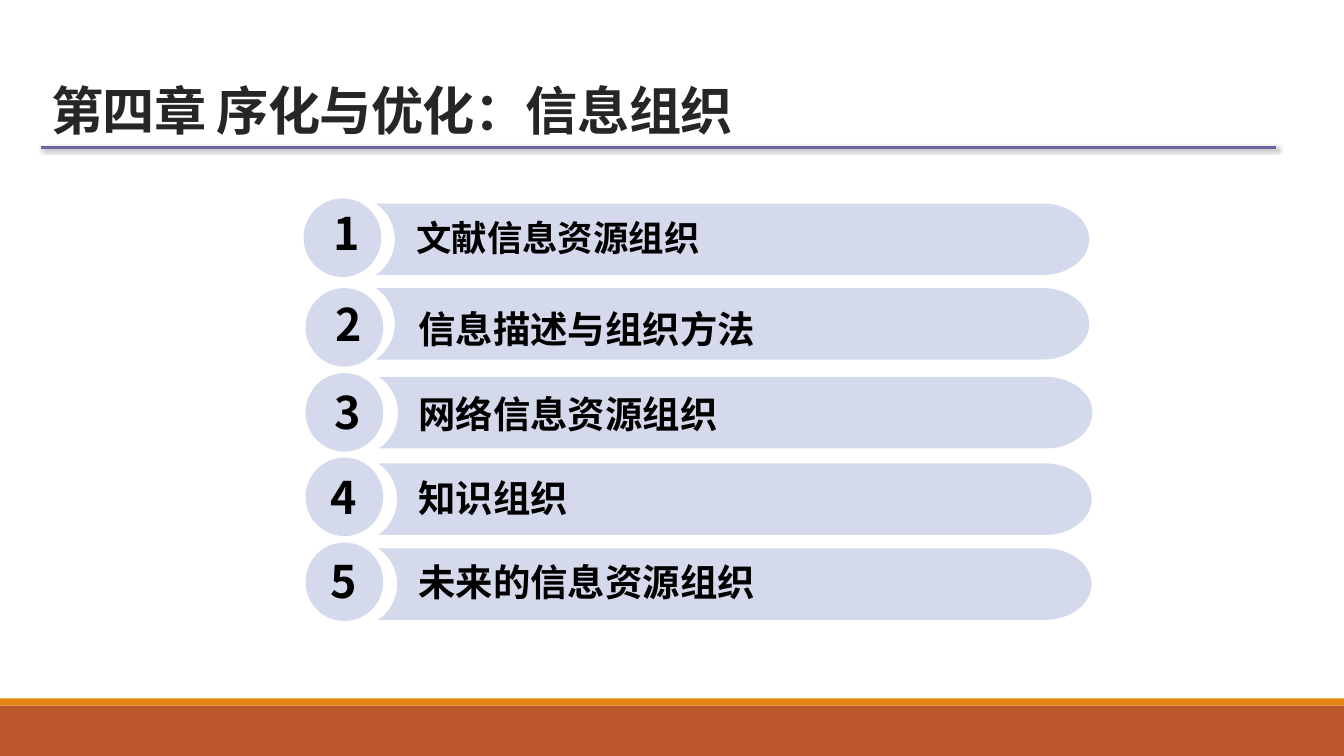
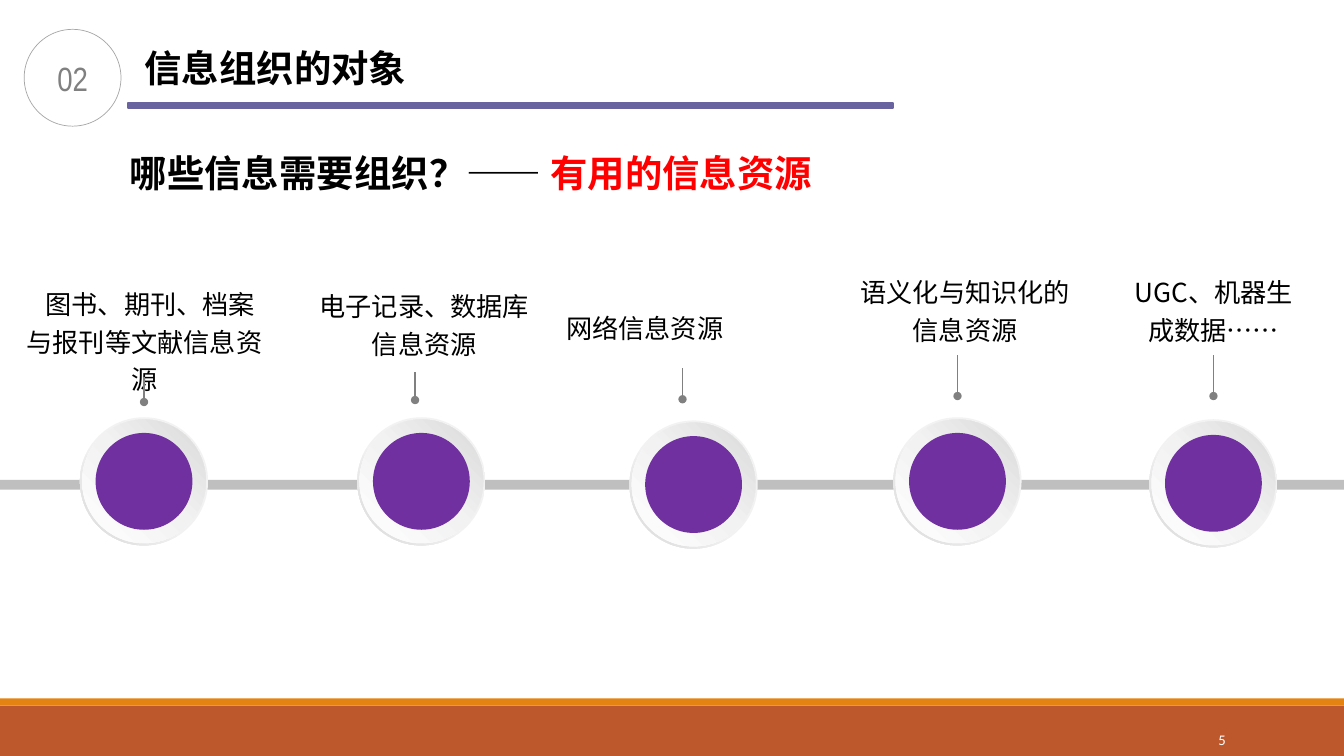
import copy
import math

import pptx
import pptx.dml.color
import pptx.enum.shapes
import pptx.enum.text
import pptx.oxml
import pptx.oxml.ns
import pptx.util
from pptx.util import Cm

SHAPE = pptx.enum.shapes.MSO_SHAPE
ALIGN = pptx.enum.text.PP_ALIGN
ANCHOR = pptx.enum.text.MSO_ANCHOR
qn = pptx.oxml.ns.qn


class Theme:
    cjk, plain, narrow = "Noto Sans CJK SC", "Calibri", "Arial Narrow"
    ink, black, white, red = "262626", "000000", "FFFFFF", "FF0000"
    violet, purple, lavender = "6964A0", "7030A0", "D4D9EC"
    rust, orange = "BD582C", "E48312"
    track, pin, badge = "BFBFBF", "808080", "A6A6A6"
    silver = ("F2F2F2", "F2F2F2", "D9D9D9")
    pearl = ("FFFFFF", "F2F2F2", "D9D9D9")
    title = dict(size=37.3, color=ink, bold=True, font=cjk)
    number = dict(size=32, color=black, bold=True, font=cjk)
    first_topic = dict(size=25.3, color=black, bold=True, font=cjk)
    topic = dict(size=26.7, color=black, bold=True, font=plain)
    heading = dict(size=26.7, color=black, bold=True, font=cjk)
    answer = dict(heading, color=red)
    label = dict(size=18.7, color=black, font=cjk)
    badge_text = dict(size=24, color=pin, font=narrow)
    page = dict(size=10.5, color=white, font=plain)


WIDTH, HEIGHT = 33.87, 19.05

CHAPTER = "第四章 序化与优化：信息组织"
# text, style, bar (x, y), disc (x, y), number (x, y), text (x, y)
TOPICS = [
    ("文献信息资源组织", Theme.first_topic, (9.47, 5.13), (7.65, 5.0), (8.15, 5.05), (10.24, 5.31)),
    ("信息描述与组织方法", Theme.topic, (9.47, 7.26), (7.7, 7.26), (8.2, 7.34), (10.29, 7.59)),
    ("网络信息资源组织", Theme.topic, (9.55, 9.5), (7.7, 9.4), (8.18, 9.58), (10.29, 9.73)),
    ("知识组织", Theme.topic, (9.53, 11.68), (7.7, 11.53), (8.08, 11.71), (10.29, 11.86)),
    ("未来的信息资源组织", Theme.topic, (9.53, 13.82), (7.7, 13.67), (8.08, 13.84), (10.29, 13.97)),
]
BAR_W, BAR_H, BAR_ROUND, BAR_NOTCH = 17.98, 1.8, 1.17, 0.48

SECTION_NO, SECTION, PAGE_NO = "02", "信息组织的对象", "5"
QUESTION = [("哪些信息需要组织？—— ", Theme.heading), ("有用的信息资源", Theme.answer)]
CENTRED = dict(alignment=ALIGN.CENTER, line_spacing=1.2)
# text, text box (x, y, w, h), paragraph format, pin (x, bottom, top), node centre
OBJECTS = [
    ("图书、期刊、档案与报刊等文献信息资源", (0.25, 6.93, 6.78, 3.23),
     dict(CENTRED, indent=0.3), (3.63, 10.13, 9.5), (3.63, 12.13)),
    ("电子记录、数据库信息资源", (7.42, 6.99, 6.55, 2.26),
     CENTRED, (10.46, 10.08, 9.37), (10.62, 12.13)),
    ("网络信息资源", (13.94, 7.7, 7.11, 1.14),
     {}, (17.2, 10.06, 9.27), (17.48, 12.21)),
    ("语义化与知识化的信息资源", (21.06, 6.63, 6.53, 2.26),
     CENTRED, (24.13, 9.98, 8.94), (24.13, 12.13)),
    ("UGC、机器生成数据……", (27.97, 6.63, 5.23, 2.26),
     CENTRED, (30.58, 9.98, 8.94), (30.58, 12.18)),
]


def rgb(color):
    return pptx.dml.color.RGBColor.from_string(color)


def finish(sp, fill=None, line=None, line_pt=1):
    sp.shadow.inherit = False
    if fill:
        sp.fill.solid()
        sp.fill.fore_color.rgb = rgb(fill)
    else:
        sp.fill.background()
    if line:
        sp.line.color.rgb = rgb(line)
        sp.line.width = pptx.util.Pt(line_pt)
    else:
        sp.line.fill.background()
    return sp


def shape(s, kind, x, y, w, h, **look):
    return finish(s.shapes.add_shape(kind, Cm(x), Cm(y), Cm(w), Cm(h)), **look)


def disc(s, kind, cx, cy, d, **look):
    return shape(s, kind, cx - d / 2, cy - d / 2, d, d, **look)


def gradient(sp, colors, middle, angle):
    """Three-stop gradient; the angle runs counter-clockwise."""
    sp.fill.gradient()
    first = sp.fill._xPr.find(qn("a:gradFill")).find(qn("a:gsLst"))[0]
    first.addnext(copy.deepcopy(first))
    for stop, color, position in zip(sp.fill.gradient_stops, colors, (0, middle, 1)):
        stop.color.rgb = rgb(color)
        stop.position = position
    sp.fill.gradient_angle = angle


def write(sp, runs, frame=None, para=None):
    """Fill a shape with one paragraph of (text, style) runs."""
    tf = sp.text_frame
    for name, value in dict(dict(word_wrap=True), **(frame or {})).items():
        setattr(tf, name, value)
    p = tf.paragraphs[0]
    para = dict(dict(alignment=ALIGN.LEFT), **(para or {}))
    indent = para.pop("indent", None)
    if indent:
        pPr = p._p.get_or_add_pPr()
        pPr.set("marL", "0")
        pPr.set("indent", str(Cm(indent)))
    for name, value in para.items():
        setattr(p, name, value)
    for text, style in runs:
        r = p.add_run()
        r.text = text
        look = dict(size=pptx.util.Pt(style["size"]), name=style["font"],
                    bold=style.get("bold", False))
        for name, value in look.items():
            setattr(r.font, name, value)
        r.font.color.rgb = rgb(style["color"])
        ea = r._r.get_or_add_rPr().makeelement(qn("a:ea"), {"typeface": Theme.cjk})
        r._r.rPr.find(qn("a:latin")).addnext(ea)
    return p


def textbox(s, box, runs, frame=None, para=None):
    return write(s.shapes.add_textbox(*map(Cm, box)), runs, frame, para)


def line(s, start, end, color, width, effects=""):
    cn = s.shapes.add_connector(pptx.enum.shapes.MSO_CONNECTOR.STRAIGHT,
                                *map(Cm, start + end))
    cn.line.color.rgb = rgb(color)
    cn.line.width = pptx.util.Pt(width)
    cn._element.spPr.append(pptx.oxml.parse_xml(
        f'<a:effectLst {pptx.oxml.ns.nsdecls("a")}>{effects}</a:effectLst>'))
    return cn


def new_slide(prs):
    """Blank slide with the two bands along its foot."""
    s = prs.slides.add_slide(prs.slide_layouts[6])
    shape(s, SHAPE.RECTANGLE, 0, 17.78, WIDTH, 1.27, fill=Theme.rust)
    shape(s, SHAPE.RECTANGLE, 0, 17.6, WIDTH, 0.18, fill=Theme.orange)
    return s


def topic_bar(s, x, y):
    """Bar with a round right end and a circular notch on the left."""
    half = BAR_H / 2
    radius = (half ** 2 + BAR_NOTCH ** 2) / (2 * BAR_NOTCH)
    sweep = math.asin(half / radius)
    steps = [i / 24 for i in range(-24, 25)]
    points = [(x + BAR_W - BAR_ROUND + BAR_ROUND * math.cos(t * math.pi / 2),
               y + half + half * math.sin(t * math.pi / 2)) for t in steps]
    points += [(x + BAR_NOTCH - radius + radius * math.cos(t * sweep),
                y + half - radius * math.sin(t * sweep)) for t in steps]
    points = [(Cm(px), Cm(py)) for px, py in points]
    fb = s.shapes.build_freeform(*points[0])
    fb.add_line_segments(points[1:], close=True)
    finish(fb.convert_to_shape(), fill=Theme.lavender)


def contents_slide(prs):
    s = new_slide(prs)
    p = textbox(s, (1.04, 1.65, 26.9, 2.03), [(CHAPTER, Theme.title)],
                dict(vertical_anchor=ANCHOR.BOTTOM), dict(line_spacing=0.85))
    p.runs[0]._r.rPr.set("spc", "-50")
    shadow = ('<a:outerShdw blurRad="38100" dist="25400" dir="2700000">'
              '<a:srgbClr val="000000"><a:alpha val="60000"/></a:srgbClr></a:outerShdw>')
    line(s, (1.04, 3.71), (32.16, 3.71), Theme.violet, 2, shadow)
    for number, (text, style, bar, circle, digit, label) in enumerate(TOPICS, 1):
        topic_bar(s, *bar)
        shape(s, SHAPE.OVAL, *circle, 1.96, 1.98, fill=Theme.lavender)
        textbox(s, (*digit, 1.09, 1.63), [(str(number), Theme.number)],
                dict(word_wrap=False))
        textbox(s, (*label, 9.1, 1.4), [(text, style)], dict(word_wrap=False))


def timeline_node(s, cx, cy):
    ring = disc(s, SHAPE.DONUT, cx, cy, 3.23)
    ring.adjustments[0] = 0.05
    gradient(ring, Theme.silver, 0.55, 225)
    gradient(disc(s, SHAPE.OVAL, cx, cy, 3.12), Theme.pearl, 0.51, 45)
    disc(s, SHAPE.OVAL, cx, cy, 2.44, fill=Theme.purple)


def objects_slide(prs):
    s = new_slide(prs)
    textbox(s, (27.51, 18.14, 3.63, 1.02), [(PAGE_NO, Theme.page)],
            dict(vertical_anchor=ANCHOR.MIDDLE), dict(alignment=ALIGN.RIGHT))
    shape(s, SHAPE.RECTANGLE, 3.23, 2.59, 19.28, 0.13,
          fill=Theme.violet, line=Theme.violet, line_pt=1.25)
    badge = shape(s, SHAPE.OVAL, 0.61, 0.74, 2.44, 2.44, line=Theme.badge, line_pt=0.5)
    write(badge, [(SECTION_NO, Theme.badge_text)],
          dict(vertical_anchor=ANCHOR.MIDDLE), dict(alignment=ALIGN.CENTER))
    textbox(s, (3.39, 1.02, 7.67, 1.4), [(SECTION, Theme.heading)], dict(word_wrap=False))
    textbox(s, (3.02, 3.66, 20.83, 1.4), QUESTION)
    shape(s, SHAPE.RECTANGLE, 0, 12.09, WIDTH, 0.25, fill=Theme.track)
    insets = dict(margin_left=Cm(0.33), margin_right=Cm(0.33),
                  margin_top=Cm(0.18), margin_bottom=Cm(0.18))
    for text, box, para, (x, bottom, top), centre in OBJECTS:
        timeline_node(s, *centre)
        textbox(s, box, [(text, Theme.label)], insets, para)
        pin = line(s, (x, bottom), (x, top), Theme.pin, 1)
        ln = pin.line._get_or_add_ln()
        ln.append(ln.makeelement(qn("a:headEnd"), {"type": "oval"}))


def main():
    prs = pptx.Presentation()
    prs.slide_width, prs.slide_height = Cm(WIDTH), Cm(HEIGHT)
    contents_slide(prs)
    objects_slide(prs)
    prs.save("out.pptx")


if __name__ == "__main__":
    main()
